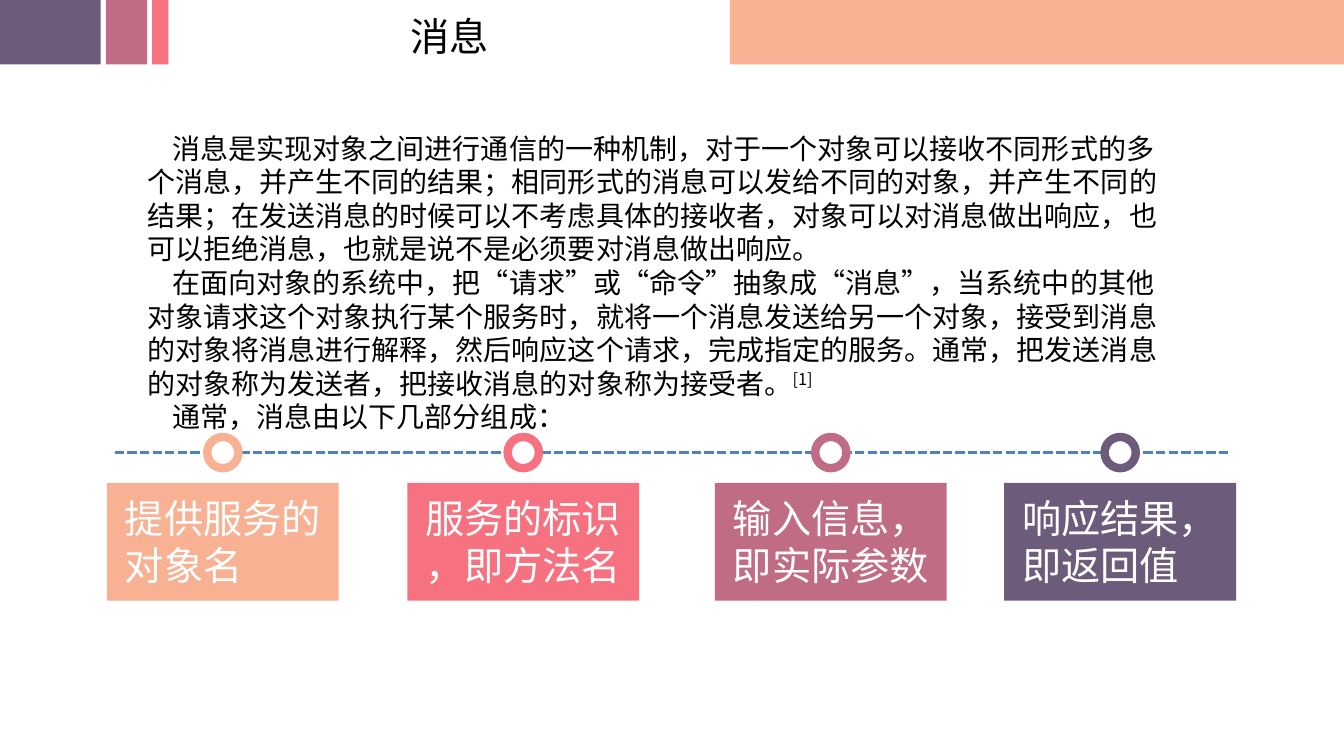
from dataclasses import dataclass

from lxml.etree import SubElement
from pptx import Presentation
from pptx.dml.color import RGBColor
from pptx.enum.dml import MSO_LINE
from pptx.enum.shapes import MSO_CONNECTOR, MSO_SHAPE
from pptx.enum.text import MSO_ANCHOR, MSO_AUTO_SIZE, PP_ALIGN
from pptx.oxml.ns import qn
from pptx.util import Inches, Pt


@dataclass(frozen=True)
class Theme:
    font: str = "Noto Sans CJK SC"
    peach: str = "F8B193"
    coral: str = "F67280"
    rose: str = "C06C84"
    plum: str = "6C5B7B"
    blue: str = "4F81BD"
    black: str = "000000"
    white: str = "FFFFFF"
    heading: int = 28
    body: int = 20
    leading: float = 1.2


class SlideBuilder:
    def __init__(self, slide, theme):
        self.slide = slide
        self.theme = theme

    def format_text(self, tf, size, color, align=PP_ALIGN.LEFT):
        tf.auto_size = MSO_AUTO_SIZE.NONE
        for p in tf.paragraphs:
            p.alignment = align
            p.space_before = p.space_after = Pt(0)
            p.line_spacing = Pt(size * self.theme.leading)
            for r in p.runs:
                r.font.size = Pt(size)
                r.font.name = self.theme.font
                r.font.color.rgb = RGBColor.from_string(color)
                ea = SubElement(r.font._element, qn("a:ea"))
                ea.set("typeface", self.theme.font)

    def place(self, sp, left, top, width, height):
        sp.left, sp.top = Inches(left), Inches(top)
        sp.width, sp.height = Inches(width), Inches(height)

    def title(self, text, box):
        sp = self.slide.shapes.title
        self.place(sp, *box)
        tf = sp.text_frame
        tf.text = text
        tf.word_wrap = False
        tf.vertical_anchor = MSO_ANCHOR.TOP
        self.format_text(tf, self.theme.heading, self.theme.black)

    def body(self, paragraphs, box, indent):
        sp = self.slide.placeholders[1]
        self.place(sp, *box)
        tf = sp.text_frame
        tf.text = "\n".join(paragraphs)
        for p in tf.paragraphs:
            pPr = p._p.get_or_add_pPr()
            pPr.set("marL", "0")
            pPr.set("indent", str(Inches(indent)))
            SubElement(pPr, qn("a:buNone"))
        return tf

    def shape(self, kind, box, fill, line=None, weight=0):
        sp = self.slide.shapes.add_shape(kind, *map(Inches, box))
        sp.shadow.inherit = False
        sp.fill.solid()
        sp.fill.fore_color.rgb = RGBColor.from_string(fill)
        if line:
            sp.line.color.rgb = RGBColor.from_string(line)
            sp.line.width = Pt(weight)
        else:
            sp.line.fill.background()
        return sp

    def card(self, text, box, fill, align):
        tf = self.shape(MSO_SHAPE.RECTANGLE, box, fill).text_frame
        tf.text = text
        tf.word_wrap = False
        tf.vertical_anchor = MSO_ANCHOR.MIDDLE
        tf.margin_left = tf.margin_right = Inches(0.18)
        self.format_text(tf, self.theme.heading, self.theme.white, align)

    def dashed_line(self, x1, x2, y, color, weight):
        ends = map(Inches, (x1, y, x2, y))
        cn = self.slide.shapes.add_connector(MSO_CONNECTOR.STRAIGHT, *ends)
        cn.line.color.rgb = RGBColor.from_string(color)
        cn.line.width = Pt(weight)
        cn.line.dash_style = MSO_LINE.SQUARE_DOT
        SubElement(cn._element.spPr, qn("a:effectLst"))


PARAGRAPHS = (
    "消息是实现对象之间进行通信的一种机制，对于一个对象可以接收不同形式的多个消息，"
    "并产生不同的结果；相同形式的消息可以发给不同的对象，并产生不同的结果；"
    "在发送消息的时候可以不考虑具体的接收者，对象可以对消息做出响应，"
    "也可以拒绝消息，也就是说不是必须要对消息做出响应。",
    "在面向对象的系统中，把“请求”或“命令”抽象成“消息”，当系统中的其他对象请求"
    "这个对象执行某个服务时，就将一个消息发送给另一个对象，接受到消息的对象将消息"
    "进行解释，然后响应这个请求，完成指定的服务。通常，把发送消息的对象称为发送者，"
    "把接收消息的对象称为接受者。",
    "通常，消息由以下几部分组成：",
)


def main():
    theme = Theme()
    prs = Presentation()
    prs.slide_width, prs.slide_height = Inches(13.33), Inches(7.5)
    s = SlideBuilder(prs.slides.add_slide(prs.slide_layouts[1]), theme)

    header_bars = (
        (7.24, 6.09, theme.peach),
        (0, 1, theme.plum),
        (1.05, 0.41, theme.rose),
        (1.51, 0.16, theme.coral),
    )
    for left, width, color in header_bars:
        s.shape(MSO_SHAPE.RECTANGLE, (left, 0, width, 0.64), color)
    s.title("消息", (3.97, 0.07, 0.98, 0.57))

    tf = s.body(PARAGRAPHS, (1.36, 1.25, 10.43, 3.13), 0.25)
    citation = tf.paragraphs[1].add_run()
    citation.text = "[1]"
    citation.font._element.set("baseline", "30000")
    s.format_text(tf, theme.body, theme.black)

    axis_y, ring, card_width = 4.49, 0.31, 2.3
    s.dashed_line(1.14, 12.2, axis_y, theme.blue, 2.25)
    parts = (
        (1.06, "提供服务的\n对象名", theme.peach, PP_ALIGN.LEFT),
        (4.04, "服务的标识\n，即方法名", theme.coral, PP_ALIGN.CENTER),
        (7.09, "输入信息，\n即实际参数", theme.rose, PP_ALIGN.LEFT),
        (9.96, "响应结果，\n即返回值", theme.plum, PP_ALIGN.LEFT),
    )
    for left, text, color, align in parts:
        s.card(text, (left, 4.79, card_width, 1.17), color, align)
        ring_box = (left + (card_width - ring) / 2, axis_y - ring / 2, ring, ring)
        s.shape(MSO_SHAPE.OVAL, ring_box, theme.white, color, 6)

    prs.save("out.pptx")


if __name__ == "__main__":
    main()
